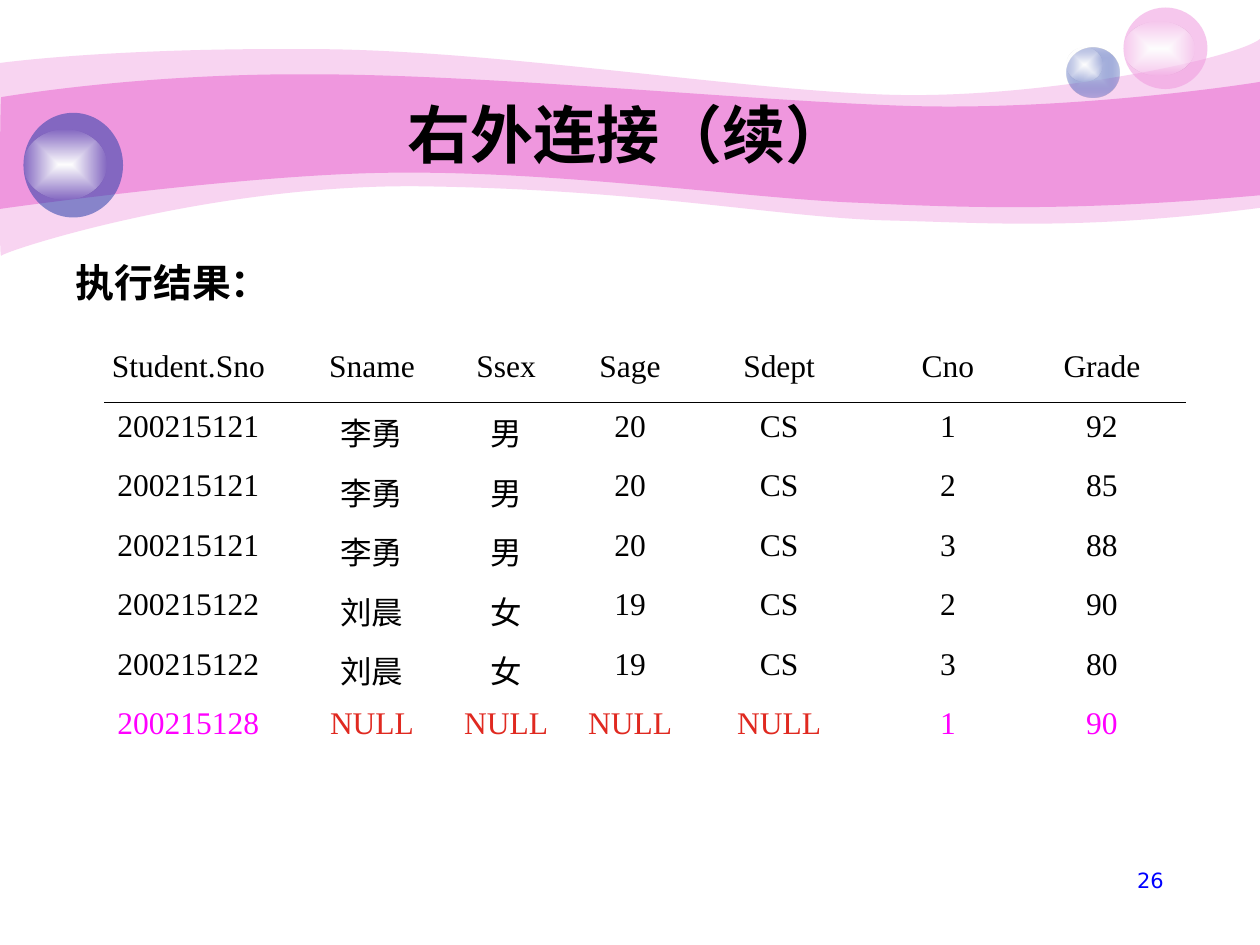
from pptx import Presentation
from pptx.dml.color import RGBColor
from pptx.enum.shapes import MSO_CONNECTOR as Connector, MSO_SHAPE as Preset
from pptx.enum.text import MSO_ANCHOR as Anchor, MSO_AUTO_SIZE as AutoSize, PP_ALIGN as Align
from pptx.oxml import parse_xml
from pptx.oxml.ns import nsdecls, qn
from pptx.oxml.xmlchemy import OxmlElement
from pptx.util import Pt

PINK, BLUE, WHITE, BLACK = "EF97DE", "233DA9", "FFFFFF", "000000"
MAGENTA, RED, NUMBER_BLUE = "FF00FF", "E02920", "0000FF"

# Waves: start point, then curves (three points) or straight lines (one point)
OUTER_WAVE = [[(0, 13.7)],
              [(17.3, 11.5), (77, 5.1), (177.8, 5.8)], [(277.9, 5.8), (414, 28.1), (503.3, 31.7)],
              [(591.8, 35.3), (705.6, 11.5), (720, 0)], [(720, 96.5)],
              [(617.8, 109.5), (566.6, 105.1), (507.6, 103.7)],
              [(447.8, 102.3), (370.8, 86.4), (247, 84.3)],
              [(123.8, 81.4), (2.9, 121), (0.7, 123.9)], [(-0.7, 127.5), (0, 31.7), (0, 13.7)]]
INNER_WAVE = [[(0.7, 13)],
              [(1.4, 13), (79.2, -0.7), (178.6, 0)], [(277.9, 0), (428.4, 15.1), (517, 18)],
              [(605.5, 20.9), (702.7, 7.2), (720, 4.3)], [(720, 69.1)],
              [(614.2, 78.5), (550.8, 76.3), (491, 73.4)],
              [(431.3, 71.3), (321.8, 55.4), (228.2, 56.2)],
              [(146.2, 56.2), (-1.4, 77), (-0.7, 77)], [(0, 77), (0, 13), (0.7, 13)]]

COLUMN_WIDTHS = [130.3, 79.6, 73.7, 68, 102.4, 90.6, 85.4]
ROWS = [
    ["Student.Sno", "Sname", "Ssex", "Sage", "Sdept", "Cno", "Grade"],
    ["200215121", "李勇", "男", "20", "CS", "1", "92"],
    ["200215121", "李勇", "男", "20", "CS", "2", "85"],
    ["200215121", "李勇", "男", "20", "CS", "3", "88"],
    ["200215122", "刘晨", "女", "19", "CS", "2", "90"],
    ["200215122", "刘晨", "女", "19", "CS", "3", "80"],
    ["200215128", "NULL", "NULL", "NULL", "NULL", "1", "90"],
    [""] * 7,
]


def color(value):
    return RGBColor.from_string(value)


def paint(shape, value, opacity=100):
    shape.shadow.inherit = False
    shape.line.fill.background()
    shape.fill.solid()
    shape.fill.fore_color.rgb = color(value)
    if opacity < 100:
        alpha = OxmlElement("a:alpha")
        alpha.set("val", str(opacity * 1000))
        shape._element.spPr.find(".//" + qn("a:srgbClr")).append(alpha)


def paint_glow(shape, inner, outer, outer_opacity):
    """Fill from an opaque centre to a see-through rim."""
    paint(shape, inner)
    gradient = parse_xml(
        f'<a:gradFill {nsdecls("a")} rotWithShape="1"><a:gsLst>'
        f'<a:gs pos="0"><a:srgbClr val="{inner}"/></a:gs>'
        f'<a:gs pos="100000"><a:srgbClr val="{outer}">'
        f'<a:alpha val="{outer_opacity * 1000}"/></a:srgbClr></a:gs></a:gsLst>'
        '<a:path path="rect"><a:fillToRect l="50000" t="50000" r="50000" b="50000"/>'
        '</a:path></a:gradFill>')
    properties = shape._element.spPr
    properties.replace(properties.find(qn("a:solidFill")), gradient)


def write(para, text, size, font, value, align, bold=False):
    para.alignment = align
    span = para.add_run()
    span.text = text
    span.font.size, span.font.name, span.font.bold = Pt(size), font, bold
    span.font.color.rgb = color(value)


def place(shape, left, top, width, height):
    shape.left, shape.top, shape.width, shape.height = map(Pt, (left, top, width, height))


def add_wave(page, top, outline, opacity):
    start, *points = [(Pt(x), Pt(top + y)) for piece in outline for x, y in piece]
    builder = page.shapes.build_freeform(*start)
    builder.add_line_segments(points, close=True)
    wave = builder.convert_to_shape()
    # Merge each three straight segments that stand for one curve
    segments = iter(wave._element.spPr.findall(".//" + qn("a:lnTo")))
    for piece in outline[1:]:
        parts = [next(segments) for _ in piece]
        if len(parts) == 3:
            curve = OxmlElement("a:cubicBezTo")
            parts[0].addprevious(curve)
            for part in parts:
                curve.append(part[0])
                part.getparent().remove(part)
    paint(wave, PINK, opacity)


def add_orb(page, left, top, width, height, glow, fill, *fill_values):
    """Draw a ball; glow is its highlight's drop, width and height."""
    group = page.shapes.add_group_shape()
    drop, glow_width, glow_height = glow
    ball = group.shapes.add_shape(Preset.OVAL, *map(Pt, (left, top, width, height)))
    fill(ball, *fill_values)
    highlight = group.shapes.add_shape(
        Preset.OVAL, *map(Pt, (left, top + drop, glow_width, glow_height)))
    paint_glow(highlight, WHITE, WHITE, 0)


def add_heading(page, shape, box, text, size, align, anchor):
    page.shapes._spTree.append(shape._element)  # in front of the waves
    place(shape, *box)
    frame = shape.text_frame
    frame.auto_size, frame.word_wrap = AutoSize.NONE, True
    frame.vertical_anchor = anchor
    para = frame.paragraphs[0]
    properties = para._p.get_or_add_pPr()
    properties.set("marL", "0")
    properties.set("indent", "0")
    properties.append(OxmlElement("a:buNone"))
    para.space_before = Pt(0)
    write(para, text, size, "Arial", BLACK, align, bold=True)


def add_result_table(page, left, top, width, height):
    table = page.shapes.add_table(
        len(ROWS), len(COLUMN_WIDTHS), *map(Pt, (left, top, width, height))).table
    table.first_row = table.horz_banding = False
    for column, column_width in zip(table.columns, COLUMN_WIDTHS):
        column.width = Pt(column_width)
    for r, row in enumerate(ROWS):
        for c, text in enumerate(row):
            cell = table.cell(r, c)
            cell.fill.background()
            if text:
                value = RED if text == "NULL" else MAGENTA if r == 6 else BLACK
                write(cell.text_frame.paragraphs[0], text, 18, "Times New Roman",
                      value, Align.CENTER)
    # Rule under the header row
    rule = page.shapes.add_connector(
        Connector.STRAIGHT, *map(Pt, (left + 17.2, top + 34, left + 635, top + 34)))
    rule.line.width = Pt(0.75)
    rule.line.color.rgb = color(BLACK)
    rule._element.spPr.append(OxmlElement("a:effectLst"))


def add_page_number(page, left, top, width, height):
    box = page.shapes.add_textbox(*map(Pt, (left, top, width, height)))
    box.text_frame.word_wrap = True
    write(box.text_frame.paragraphs[0], "26", 12, "DejaVu Sans", NUMBER_BLUE, Align.RIGHT)


def main():
    deck = Presentation()
    deck.slide_width, deck.slide_height = Pt(720), Pt(540)
    page = deck.slides.add_slide(deck.slide_layouts[1])
    title, body = page.placeholders

    # Banner
    add_wave(page, 22.3, OUTER_WAVE, 41)
    add_wave(page, 42.5, INNER_WAVE, 100)
    add_orb(page, 609.5, 27, 30.4, 29, (0, 20.2, 19.4), paint_glow, "C7CEE9", BLUE, 31)
    add_orb(page, 642, 4.3, 48, 46.6, (7.9, 40.3, 31), paint, PINK, 53)
    add_orb(page, 13.4, 64.5, 56.9, 59.8, (9.4, 47.5, 40.3), paint, BLUE, 53)

    # Content
    add_heading(page, title, (72, 54, 582, 44.6), "右外连接（续） ", 36,
                Align.CENTER, Anchor.MIDDLE)
    add_heading(page, body, (36, 144, 318, 35.3), "执行结果： ", 22.2,
                Align.JUSTIFY, Anchor.TOP)
    add_result_table(page, 42.5, 196.2, 630, 272.2)
    add_page_number(page, 515.9, 492, 156.2, 37.4)
    deck.save("out.pptx")


if __name__ == "__main__":
    main()
